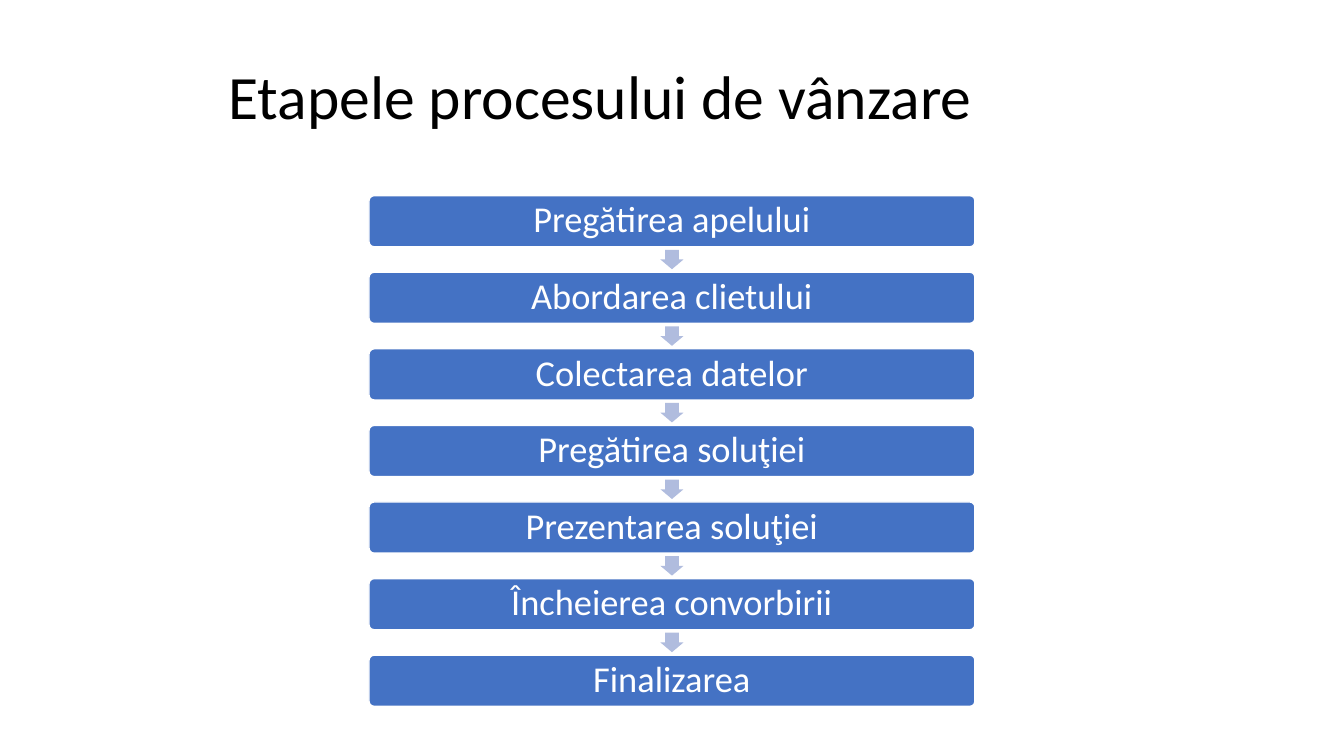
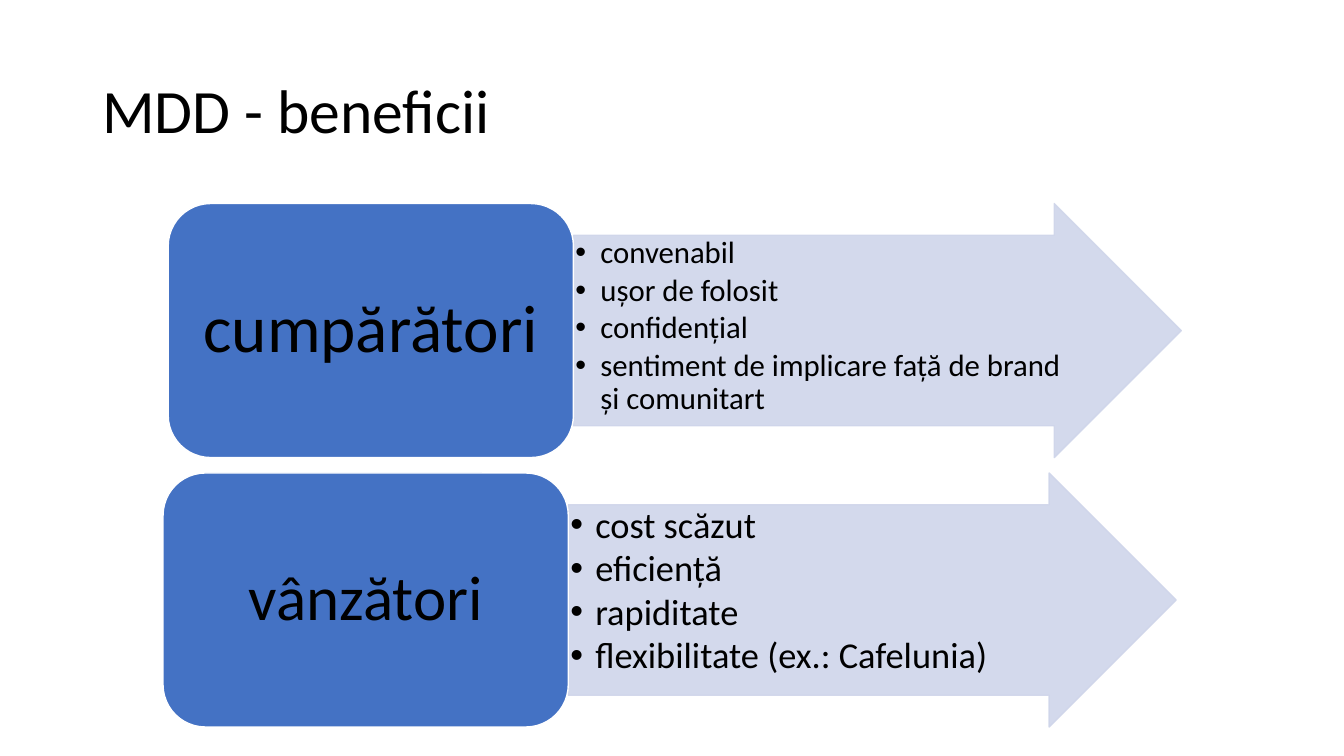
from lxml.etree import SubElement
from pptx import Presentation
from pptx.dml.color import RGBColor
from pptx.enum.shapes import MSO_SHAPE as SHAPE
from pptx.enum.text import MSO_ANCHOR as ANCHOR, PP_ALIGN as ALIGN
from pptx.oxml.ns import qn
from pptx.util import Cm, Pt

COLORS = {
    "black": "000000",
    "white": "FFFFFF",
    "blue": "4472C4",
    "step_arrow": "B0BCDE",
    "benefit_arrow": "CFD5EA",
}
FONT = "Calibri"

STEPS = [
    "Pregătirea apelului",
    "Abordarea clietului",
    "Colectarea datelor",
    "Pregătirea soluţiei",
    "Prezentarea soluţiei",
    "Încheierea convorbirii",
    "Finalizarea",
]
BUYER_BENEFITS = [
    "convenabil",
    "ușor de folosit",
    "confidențial",
    "sentiment de implicare față de brand și comunitart",
]
SELLER_BENEFITS = [
    "cost scăzut",
    "eficiență",
    "rapiditate",
    "flexibilitate (ex.: Cafelunia)",
]


def rgb(name):
    return RGBColor.from_string(COLORS[name])


def add_bullet(p, indent=0.63):
    pPr = p._p.get_or_add_pPr()
    pPr.set("marL", str(Cm(indent)))
    pPr.set("indent", str(-Cm(indent)))
    SubElement(pPr, qn("a:buFont"), typeface="Arial")
    SubElement(pPr, qn("a:buChar"), char="•")


def write(sp, lines, size, color="black", align=ALIGN.CENTER,
          anchor=ANCHOR.MIDDLE, margins=(0.25, 0.13), bullet=False, after=0):
    tf = sp.text_frame
    tf.word_wrap = True
    tf.vertical_anchor = anchor
    tf.margin_left = tf.margin_right = Cm(margins[0])
    tf.margin_top = tf.margin_bottom = Cm(margins[1])
    for i, line in enumerate(lines):
        p = tf.add_paragraph() if i else tf.paragraphs[0]
        p.alignment = align
        p.line_spacing = 0.9
        p.space_after = Pt(after)
        if bullet:
            add_bullet(p)
        r = p.add_run()
        r.text = line
        r.font.name = FONT
        r.font.size = Pt(size)
        r.font.color.rgb = rgb(color)


def add_shape(s, kind, x, y, w, h, fill, line=None, adj=(), opacity=None):
    sp = s.shapes.add_shape(kind, Cm(x), Cm(y), Cm(w), Cm(h))
    sp.shadow.inherit = False
    sp.fill.solid()
    sp.fill.fore_color.rgb = rgb(fill)
    if line:
        sp.line.color.rgb = rgb(line)
        sp.line.width = Pt(1)
    else:
        sp.line.fill.background()
    for i, value in enumerate(adj):
        sp.adjustments[i] = value
    if opacity:
        for color in sp._element.spPr.iter(qn("a:srgbClr")):
            SubElement(color, qn("a:alpha"), val=str(opacity * 1000))
    return sp


def add_title(s, text, x, y, w, h):
    sp = s.shapes.add_textbox(Cm(x), Cm(y), Cm(w), Cm(h))
    write(sp, [text], 44, align=ALIGN.LEFT)


def add_steps(s, steps, x, y, w, h, step_h=1.29, arrow_w=0.58, arrow_h=0.49):
    pitch = (h - step_h) / (len(steps) - 1)
    for i, step in enumerate(steps):
        top = y + i * pitch
        sp = add_shape(s, SHAPE.ROUNDED_RECTANGLE, x, top, w, step_h,
                       "blue", "white", adj=[0.1])
        write(sp, [step], 26, "white")
        if i < len(steps) - 1:
            add_shape(s, SHAPE.DOWN_ARROW, x + (w - arrow_w) / 2,
                      top + (step_h + pitch - arrow_h) / 2,
                      arrow_w, arrow_h, "step_arrow", adj=[0.6, 0.5])


def add_benefits(s, label, benefits, x, y, w, h, label_size, list_size):
    label_w = w * 0.4
    arrow = add_shape(s, SHAPE.RIGHT_ARROW, x + label_w, y, w - label_w, h,
                      "benefit_arrow", "benefit_arrow", [0.75, 0.5], 90)
    write(arrow, benefits, list_size, align=ALIGN.LEFT, anchor=ANCHOR.TOP,
          margins=(0.05, 0.05), bullet=True, after=3)
    sp = add_shape(s, SHAPE.ROUNDED_RECTANGLE, x, y, label_w, h,
                   "blue", "white")
    write(sp, [label], label_size)


def build_process_slide(prs, blank):
    s = prs.slides.add_slide(blank)
    add_title(s, "Etapele procesului de vânzare", 5.51, 0.91, 22.86, 3.18)
    add_steps(s, STEPS, 9.3, 4.93, 15.27, 12.87)


def build_benefits_slide(prs, blank):
    s = prs.slides.add_slide(blank)
    add_title(s, "MDD - beneficii", 2.33, 1.01, 29.21, 3.68)
    add_benefits(s, "cumpărători", BUYER_BENEFITS,
                 4.24, 5.13, 25.53, 6.4, 48, 22)
    add_benefits(s, "vânzători", SELLER_BENEFITS,
                 4.11, 11.92, 25.53, 6.4, 45, 26)


def main():
    prs = Presentation()
    prs.slide_width, prs.slide_height = Cm(33.87), Cm(19.05)
    blank = prs.slide_layouts[6]
    build_process_slide(prs, blank)
    build_benefits_slide(prs, blank)
    prs.save("out.pptx")


if __name__ == "__main__":
    main()
